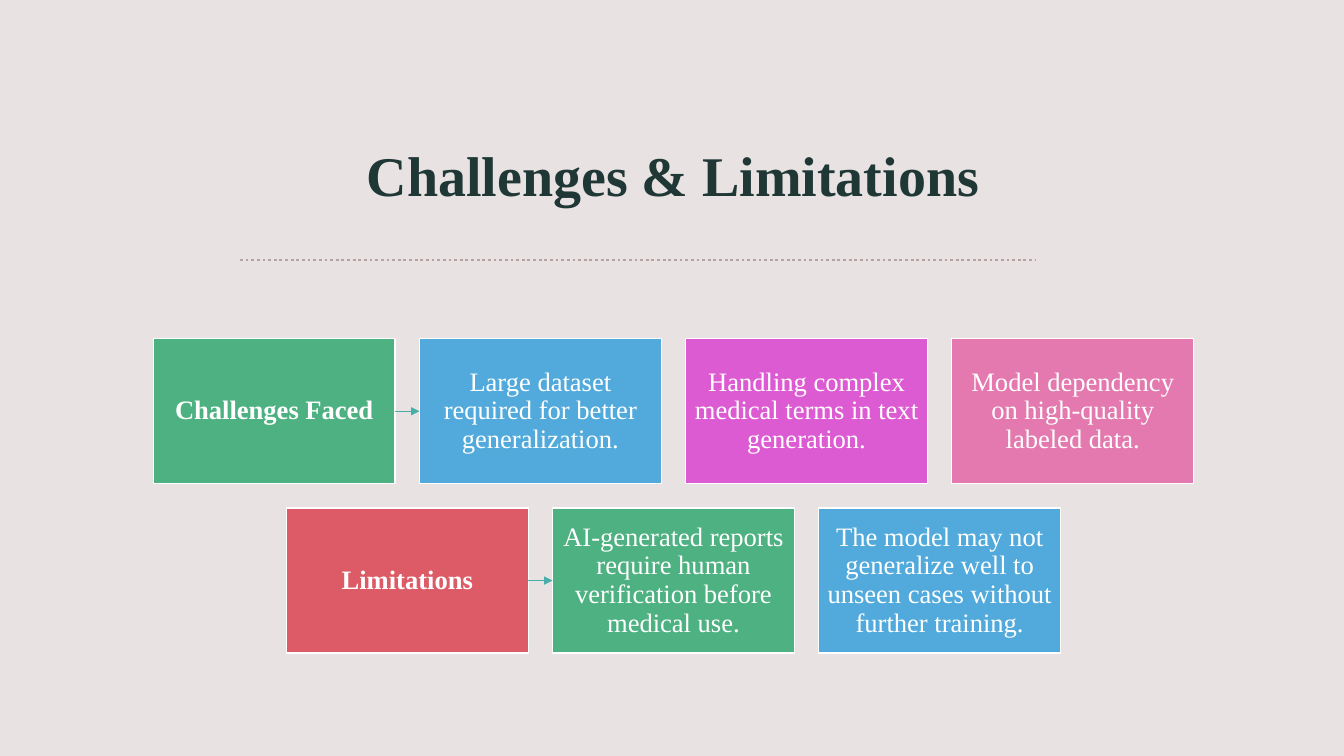
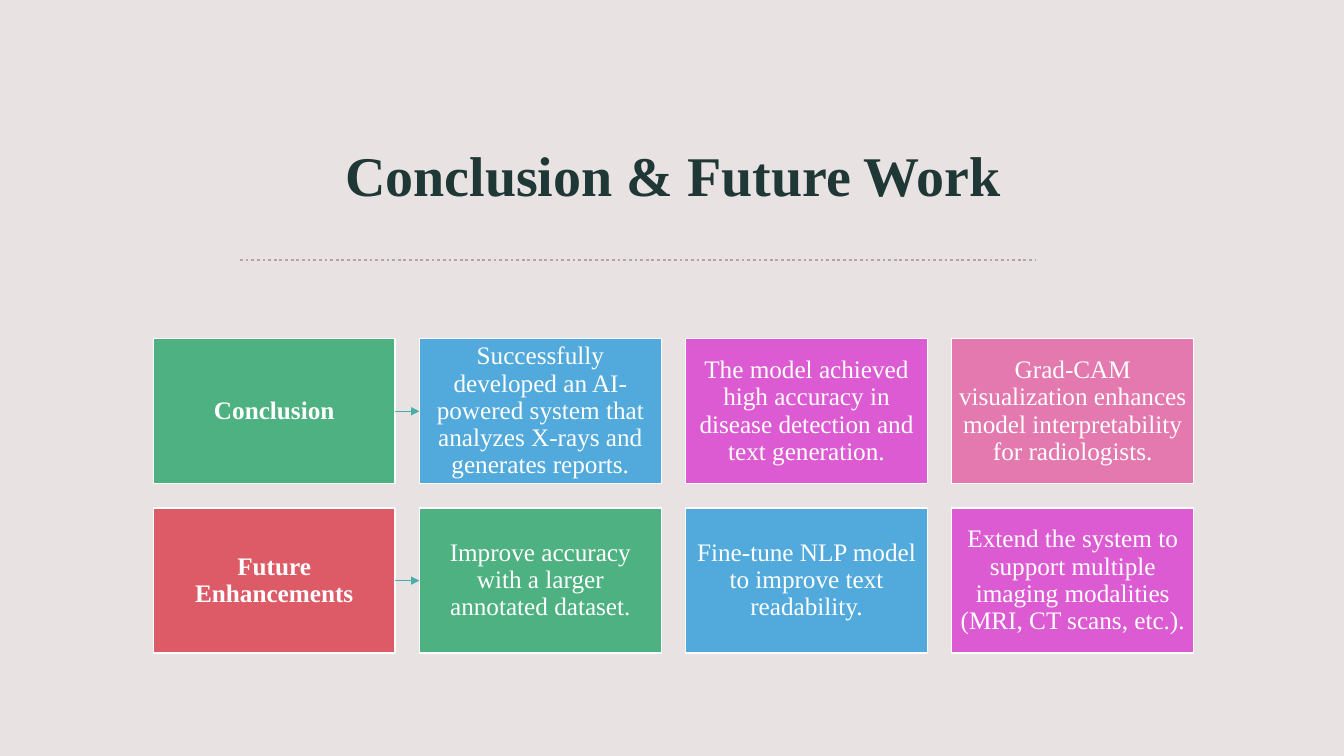
from pptx import Presentation
from pptx.dml.color import RGBColor
from pptx.enum.dml import MSO_LINE
from pptx.enum.shapes import MSO_CONNECTOR, MSO_SHAPE
from pptx.enum.text import MSO_ANCHOR, PP_ALIGN
from pptx.oxml.ns import qn
from pptx.util import Inches, Pt
from lxml import etree

RECT, STRAIGHT = MSO_SHAPE.RECTANGLE, MSO_CONNECTOR.STRAIGHT
DOTTED, MIDDLE, CENTER = MSO_LINE.ROUND_DOT, MSO_ANCHOR.MIDDLE, PP_ALIGN.CENTER
LEFT_SIDE, RIGHT_SIDE, TITLE_ONLY = 1, 3, 5

THEME = {
    "font": "Times New Roman", "title_size": 40,
    "back": "E8E2E2", "title": "1F3836", "rule": "B5A2A2",
    "arrow": "48AFA8", "white": "FFFFFF",
    # Box colours, taken in turn: green, blue, magenta, pink, red
    "boxes": ["4DB181", "51AADB", "DD5BD2", "E379AE", "DD5B66"],
}

# Grid of boxes: each row is centred on CENTER_X
BOX_W, BOX_H, GAP = 2.4, 1.44, 0.24
CENTER_X, GRID_TOP = 6.68, 3.36

# Title, text size, rows of boxes (the first box of a row is its heading)
SLIDES = [
    ("Challenges & Limitations", 19, [
        ["Challenges Faced",
         "Large dataset required for better generalization.",
         "Handling complex medical terms in text generation.",
         "Model dependency on high-quality labeled data."],
        ["Limitations",
         "AI-generated reports require human verification before medical use.",
         "The model may not generalize well to unseen cases without further training."],
    ]),
    ("Conclusion & Future Work", 18, [
        ["Conclusion",
         "Successfully developed an AI-powered system that analyzes X-rays and generates reports.",
         "The model achieved high accuracy in disease detection and text generation.",
         "Grad-CAM visualization enhances model interpretability for radiologists."],
        ["Future Enhancements",
         "Improve accuracy with a larger annotated dataset.",
         "Fine-tune NLP model to improve text readability.",
         "Extend the system to support multiple imaging modalities (MRI, CT scans, etc.)."],
    ]),
]


def write(tf, text, size, color, bold, spacing=1.0):
    frame = {"word_wrap": True, "vertical_anchor": MIDDLE}
    for name, value in frame.items():
        setattr(tf, name, value)
    p = tf.paragraphs[0]
    p.alignment, p.line_spacing = CENTER, spacing
    r = p.add_run()
    r.text = text
    for name, value in {"name": THEME["font"], "size": Pt(size), "bold": bold}.items():
        setattr(r.font, name, value)
    r.font.color.rgb = RGBColor.from_string(color)


def add_line(s, x1, y1, x2, y2, color, width):
    line = s.shapes.add_connector(STRAIGHT, Inches(x1), Inches(y1), Inches(x2), Inches(y2))
    line.line.color.rgb = RGBColor.from_string(color)
    line.line.width = Pt(width)
    etree.SubElement(line._element.spPr, qn("a:effectLst"))
    return line


prs = Presentation()
prs.slide_width, prs.slide_height = Inches(13.33), Inches(7.5)

# Shared background
fill = prs.slide_master.background.fill
fill.solid()
fill.fore_color.rgb = RGBColor.from_string(THEME["back"])

for title, size, rows in SLIDES:
    s = prs.slides.add_slide(prs.slide_layouts[TITLE_ONLY])

    # Title and dotted rule
    place = {"left": 1.05, "top": 1.03, "width": 11.25, "height": 1.4}
    for name, value in place.items():
        setattr(s.shapes.title, name, Inches(value))
    write(s.shapes.title.text_frame, title, THEME["title_size"], THEME["title"], True)
    rule = add_line(s, 2.38, 2.58, 10.27, 2.58, THEME["rule"], 2)
    rule.line.dash_style = DOTTED

    # Rows of boxes
    count = 0
    for row, texts in enumerate(rows):
        left = CENTER_X - (len(texts) * (BOX_W + GAP) - GAP) / 2
        top = GRID_TOP + row * (BOX_H + GAP)
        boxes = []
        for col, text in enumerate(texts):
            sp = s.shapes.add_shape(RECT, Inches(left + col * (BOX_W + GAP)), Inches(top),
                                    Inches(BOX_W), Inches(BOX_H))
            sp.shadow.inherit = False
            sp.fill.solid()
            color = THEME["boxes"][count % len(THEME["boxes"])]
            sp.fill.fore_color.rgb = RGBColor.from_string(color)
            sp.line.color.rgb = RGBColor.from_string(THEME["white"])
            sp.line.width = Pt(1)
            tf = sp.text_frame
            for side in ("left", "top", "right", "bottom"):
                setattr(tf, f"margin_{side}", Inches(0.07))
            write(tf, text, size, THEME["white"], col == 0, 0.9)
            boxes.append(sp)
            count += 1

        # Arrow from the heading to the first item
        middle = top + BOX_H / 2
        arrow = add_line(s, left + BOX_W, middle, left + BOX_W + GAP, middle,
                         THEME["arrow"], 0.5)
        arrow.begin_connect(boxes[0], RIGHT_SIDE)
        arrow.end_connect(boxes[1], LEFT_SIDE)
        etree.SubElement(arrow.line._get_or_add_ln(), qn("a:tailEnd"), type="triangle")

prs.save("out.pptx")
